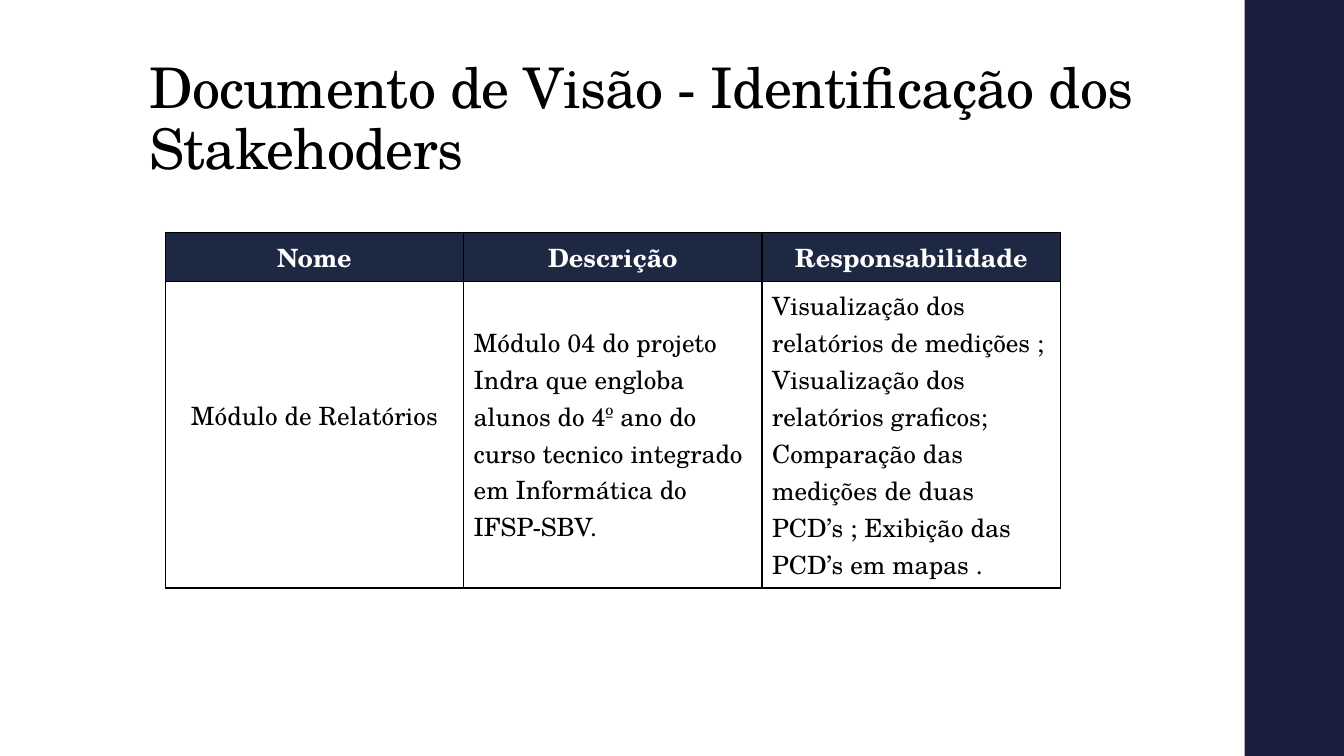
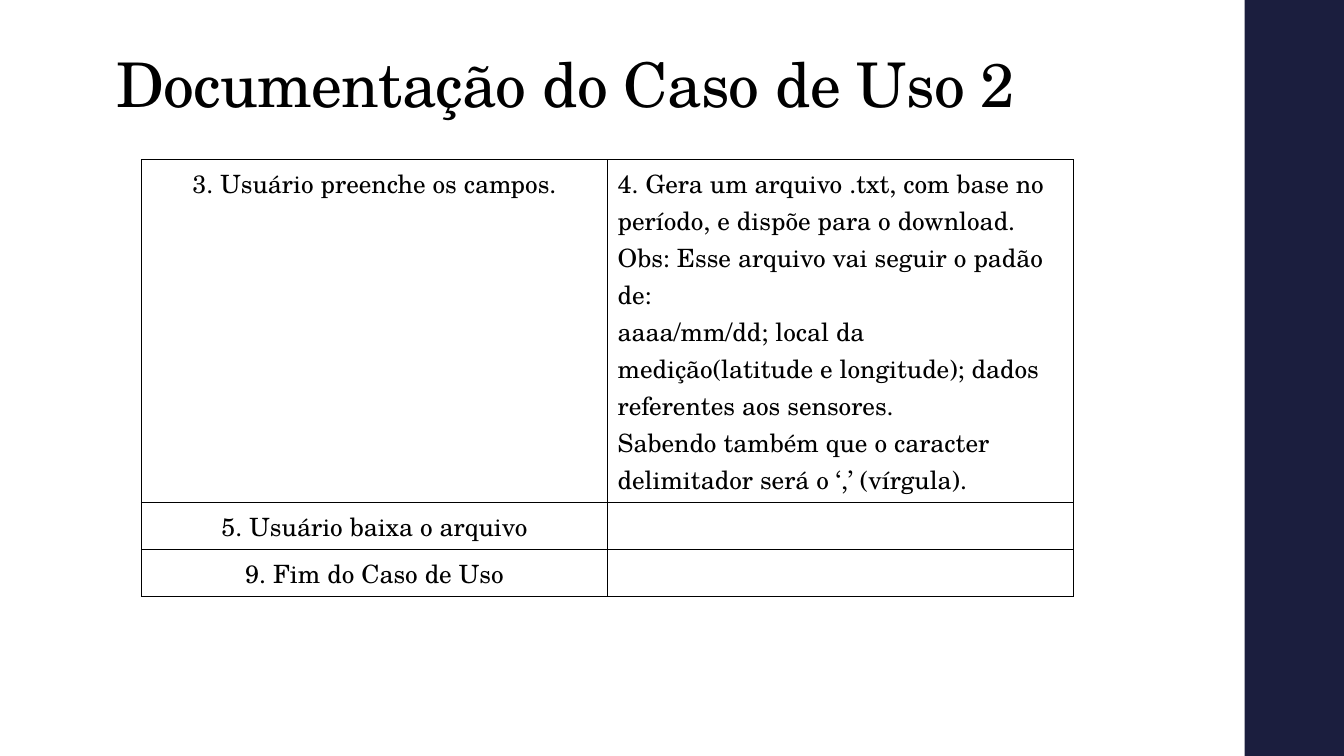
from lxml.etree import SubElement
from pptx import Presentation
from pptx.dml.color import RGBColor
from pptx.enum.shapes import MSO_SHAPE
from pptx.enum.text import MSO_ANCHOR, MSO_AUTO_SIZE, PP_ALIGN
from pptx.oxml import parse_xml
from pptx.oxml.ns import nsdecls, qn
from pptx.util import Pt

NAVY = RGBColor(0x1B, 0x1E, 0x3E)
HEADER_BLUE = RGBColor(0x1D, 0x28, 0x43)
WHITE = RGBColor(0xFF, 0xFF, 0xFF)
BLACK = RGBColor(0x00, 0x00, 0x00)

FONT = "TeX Gyre Schola"
PAGE_WIDTH, PAGE_HEIGHT = 960, 540
BAND_BOX = (889, 0, 71, PAGE_HEIGHT)
LINE_HEIGHT = 26.4
MARGIN = 3.6

BODY = {"size": Pt(18), "name": FONT, "bold": False}
HEADER = {**BODY, "bold": True}


def format_span(span, values, color):
    for name, value in values.items():
        setattr(span.font, name, value)
    span.font.color.rgb = color


def place(shape, box):
    for name, value in zip(("left", "top", "width", "height"), box):
        setattr(shape, name, Pt(value))


def add_page(deck, title, title_box, title_size):
    page = deck.slides.add_slide(deck.slide_layouts[5])
    band = page.shapes.add_shape(
        MSO_SHAPE.RECTANGLE, *(Pt(value) for value in BAND_BOX))
    band.shadow.inherit = False
    band.fill.solid()
    band.fill.fore_color.rgb = NAVY
    band.line.fill.background()

    place(page.shapes.title, title_box)
    frame = page.shapes.title.text_frame
    frame_values = {
        "word_wrap": True,
        "auto_size": MSO_AUTO_SIZE.NONE,
        "vertical_anchor": MSO_ANCHOR.BOTTOM,
    }
    for name, value in frame_values.items():
        setattr(frame, name, value)
    para = frame.paragraphs[0]
    para.alignment = PP_ALIGN.LEFT
    para.line_spacing = 0.9
    span = para.add_run()
    span.text = title
    format_span(span, {"size": Pt(title_size), "name": FONT}, BLACK)
    span.font._element.set("spc", "-50")
    return page


def add_borders(cell):
    properties = cell._tc.get_or_add_tcPr()
    for index, side in enumerate(("lnL", "lnR", "lnT", "lnB")):
        line = parse_xml(f'<a:{side} {nsdecls("a")} w="12700"/>')
        fill = SubElement(line, qn("a:solidFill"))
        SubElement(fill, qn("a:srgbClr")).set("val", str(BLACK))
        properties.insert(index, line)


def fill_cell(cell, text, centred, header, lines_above):
    cell.fill.solid()
    cell.fill.fore_color.rgb = HEADER_BLUE if header else WHITE
    cell.margin_top = Pt(MARGIN + lines_above * LINE_HEIGHT)
    cell.margin_bottom = Pt(MARGIN)
    add_borders(cell)
    cell.text = text
    for para in cell.text_frame.paragraphs:
        para.alignment = PP_ALIGN.CENTER if centred else PP_ALIGN.LEFT
        for span in para.runs:
            format_span(span, HEADER if header else BODY,
                        WHITE if header else BLACK)


def add_grid(page, box, row_heights, rows, has_header=False, lines_above=None):
    offsets = lines_above or {}
    left, top, width = box
    column_count = len(rows[0])
    table = page.shapes.add_table(
        len(rows), column_count, Pt(left), Pt(top), Pt(width),
        Pt(sum(row_heights))).table
    table.first_row = has_header
    table.horz_banding = False
    for column in table.columns:
        column.width = Pt(width / column_count)
    for row_index, (height, texts) in enumerate(zip(row_heights, rows)):
        table.rows[row_index].height = Pt(height)
        header = has_header and row_index == 0
        for column_index, text in enumerate(texts):
            fill_cell(table.cell(row_index, column_index), text,
                      header or column_index == 0, header,
                      offsets.get((row_index, column_index), 0))


def add_stakeholders_page(deck):
    page = add_page(
        deck, "Documento de Visão - Identificação dos Stakehoders",
        (99.5, 29, 763, 104), 40)
    rows = [
        ("Nome", "Descrição", "Responsabilidade"),
        (
            "Módulo de Relatórios",
            "Módulo 04 do projeto Indra que engloba alunos do 4º ano do "
            "curso tecnico integrado em Informática do IFSP-SBV.",
            "Visualização dos relatórios de medições ; Visualização dos "
            "relatórios graficos; Comparação das medições de duas "
            "PCD’s ; Exibição das PCD’s em mapas .",
        ),
    ]
    add_grid(page, (118, 166, 639.5), (34.5, 219), rows, has_header=True,
             lines_above={(1, 0): 3, (1, 1): 1})


def add_use_case_page(deck):
    page = add_page(
        deck, "Documentação do Caso de Uso 2", (76, 11.5, 740, 78.5), 44)
    file_rules = "\n".join((
        "4. Gera um arquivo .txt, com base no período, e dispõe para o "
        "download.",
        "Obs: Esse arquivo vai seguir o padão de:",
        "aaaa/mm/dd; local da medição(latitude e longitude); dados "
        "referentes aos sensores.",
        "Sabendo também que o caracter delimitador será o ‘,’ (vírgula).",
    ))
    rows = [
        ("3. Usuário preenche os campos.", file_rules),
        ("5. Usuário baixa o arquivo", ""),
        ("9. Fim do Caso de Uso", ""),
    ]
    add_grid(page, (101, 114, 666), (245, 33.6, 33.6), rows)


def main():
    deck = Presentation()
    deck.slide_width = Pt(PAGE_WIDTH)
    deck.slide_height = Pt(PAGE_HEIGHT)
    add_stakeholders_page(deck)
    add_use_case_page(deck)
    deck.save("out.pptx")


if __name__ == "__main__":
    main()
